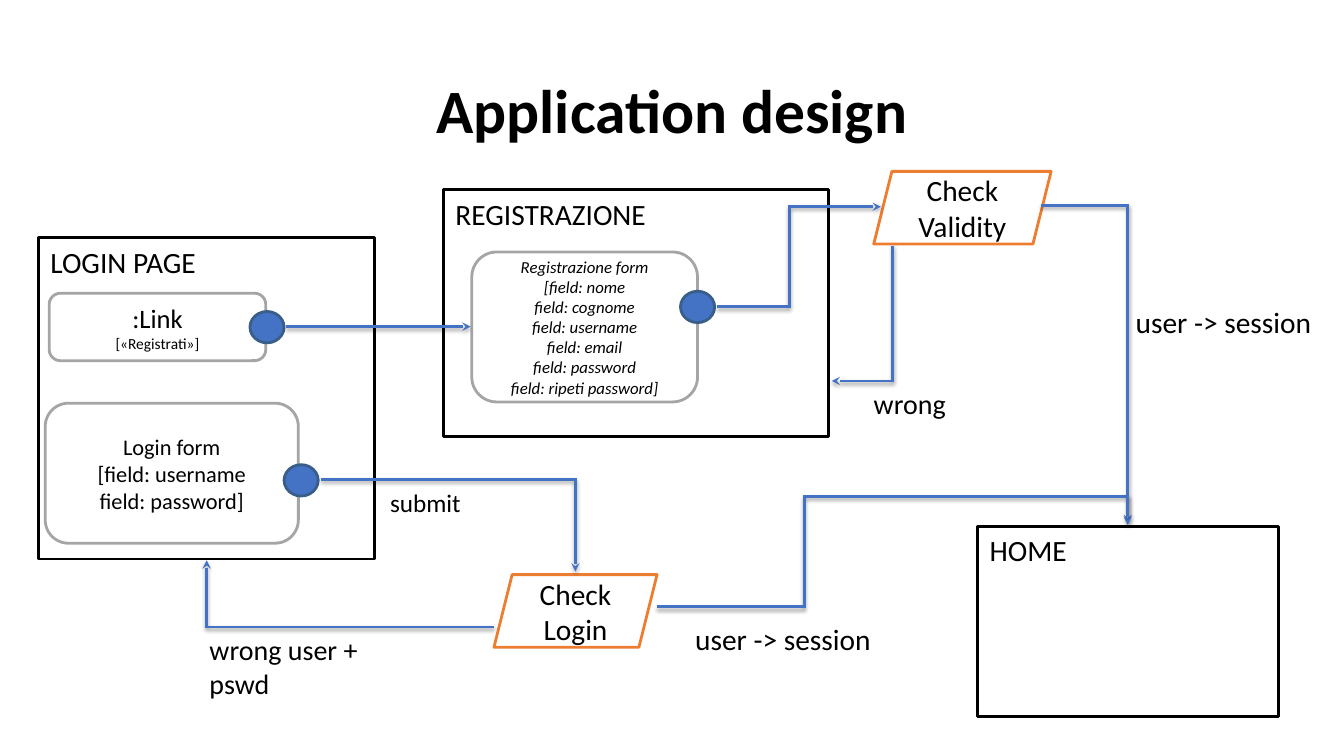
from lxml import etree
from pptx import Presentation
from pptx.dml.color import RGBColor
from pptx.enum.shapes import MSO_CONNECTOR, MSO_SHAPE
from pptx.enum.text import MSO_ANCHOR, PP_ALIGN
from pptx.util import Cm, Pt

RECT, ROUNDED = MSO_SHAPE.RECTANGLE, MSO_SHAPE.ROUNDED_RECTANGLE
SKEWED, OVAL = MSO_SHAPE.PARALLELOGRAM, MSO_SHAPE.OVAL
STRAIGHT = MSO_CONNECTOR.STRAIGHT
LEFT, CENTER = PP_ALIGN.LEFT, PP_ALIGN.CENTER
TOP, MIDDLE = MSO_ANCHOR.TOP, MSO_ANCHOR.MIDDLE
BLACK, WHITE, BLUE, NAVY = "000000", "FFFFFF", "4472C4", "395E89"
GRAY, ORANGE = "A5A5A5", "ED7D31"
NS = "http://schemas.openxmlformats.org/drawingml/2006/main"
LINE_ENDS = f'<a:x xmlns:a="{NS}"><a:miter lim="800000"/><a:tailEnd type="stealth"/></a:x>'
SHADOW = (f'<a:effectLst xmlns:a="{NS}"><a:outerShdw blurRad="38100" dist="20320" '
          'dir="5400000" rotWithShape="0"><a:srgbClr val="000000">'
          '<a:alpha val="38000"/></a:srgbClr></a:outerShdw></a:effectLst>')


def paint(shape, line, fill=None):
    """Colour the outline and, where given, the fill."""
    shape.line.color.rgb = RGBColor.from_string(line)
    shape.line.width = Pt(2)
    if fill:
        shape.shadow.inherit = False
        shape.fill.solid()
        shape.fill.fore_color.rgb = RGBColor.from_string(fill)


def write(shape, text, sizes, align=LEFT, anchor=TOP, inset=0.15, wrap=True,
          bold=False, italic=False, spacing=1.0):
    """Write one paragraph per line; the last size serves all further lines."""
    frame = shape.text_frame
    frame.word_wrap, frame.vertical_anchor = wrap, anchor
    frame.margin_left = frame.margin_right = Cm(inset)
    frame.margin_top = frame.margin_bottom = Cm(0.15)
    frame.text = text
    for i, paragraph in enumerate(frame.paragraphs):
        paragraph.alignment, paragraph.line_spacing = align, spacing
        font = paragraph.font if not paragraph.runs else paragraph.runs[0].font
        font.name, font.size = "Calibri", Pt(sizes[min(i, len(sizes) - 1)])
        font.bold, font.italic = bold, italic
        font.color.rgb = RGBColor.from_string(BLACK)


prs = Presentation()
prs.slide_width, prs.slide_height = Cm(33.87), Cm(19.05)
slide = prs.slides.add_slide(prs.slide_layouts[5])
shapes = slide.shapes

# Title
title = shapes.title
title.left, title.top, title.width, title.height = Cm(2.34), Cm(1.02), Cm(29.21), Cm(3.68)
write(title, "Application design", [44], CENTER, MIDDLE, bold=True, spacing=0.9)

# Pages
pages = [
    ("LOGIN PAGE", 0.97, 5.99, 8.46, 8.1),
    ("REGISTRAZIONE", 11.18, 4.78, 9.7, 6.22),
    ("HOME", 24.64, 13.26, 7.59, 4.8),
]
for name, *box in pages:
    page = shapes.add_shape(RECT, *map(Cm, box))
    paint(page, BLACK, WHITE)
    write(page, name, [21], inset=0.3)

# Forms and link inside the pages, and the checks between them
registration = "\n".join([
    "Registrazione form", "[field: nome", "field: cognome", "field: username",
    "field: email", "field: password", "field: ripeti password]"])
login = "Login form\n[field: username\nfield: password]"
components = [
    (ROUNDED, GRAY, ":Link\n[«Registrati»]", [19, 11], False, 1.24, 7.39, 5.46, 1.7),
    (ROUNDED, GRAY, login, [16], False, 1.14, 10.16, 6.38, 3.53),
    (ROUNDED, GRAY, registration, [12], True, 11.89, 6.35, 5.69, 3.78),
    (SKEWED, ORANGE, "Check\nLogin", [21], False, 12.45, 14.48, 4.11, 1.83),
    (SKEWED, ORANGE, "Check\nValidity", [21], False, 22.02, 4.32, 4.47, 1.83),
]
for kind, outline, text, sizes, italic, *box in components:
    component = shapes.add_shape(kind, *map(Cm, box))
    paint(component, outline, WHITE)
    write(component, text, sizes, CENTER, MIDDLE, wrap=False, italic=italic)

# Event dots
for x, y in [(6.3, 7.85), (7.16, 11.71), (17.15, 7.34)]:
    dot = shapes.add_shape(OVAL, Cm(x), Cm(y), Cm(0.86), Cm(0.79))
    paint(dot, NAVY, BLUE)

# Flow arrows
flows = [
    [(7.21, 8.23), (11.86, 8.23)],
    [(8.08, 12.09), (14.5, 12.09), (14.5, 14.4)],
    [(12.45, 15.8), (5.21, 15.8), (5.21, 14.12)],
    [(16.56, 15.29), (20.27, 15.29), (20.27, 12.52), (28.42, 12.52), (28.42, 13.18)],
    [(18.06, 7.72), (19.89, 7.72), (19.89, 5.21), (22.2, 5.21)],
    [(22.5, 6.2), (22.5, 9.6), (20.96, 9.6)],
    [(26.24, 5.18), (28.42, 5.18), (28.42, 13.23)],
]
for flow in flows:
    start, *bends = [(Cm(x), Cm(y)) for x, y in flow]
    if len(bends) == 1:
        arrow = shapes.add_connector(STRAIGHT, *start, *bends[0])
    else:
        outline = shapes.build_freeform(*start)
        outline.add_line_segments(bends, close=False)
        arrow = outline.convert_to_shape()
        arrow.fill.background()
    paint(arrow, BLUE)
    arrow.line._get_or_add_ln().extend(list(etree.fromstring(LINE_ENDS)))
    arrow._element.spPr.append(etree.fromstring(SHADOW))

# Flow labels
labels = [
    ("submit", 18, 9.68, 12.12, 2.21),
    ("wrong user + pswd", 20, 5.13, 15.8, 5.69),
    ("user -> session", 21, 17.37, 15.49, 5.16),
    ("user -> session", 21, 28.47, 7.52, 5.4),
    ("wrong", 20, 21.87, 9.6, 2.46),
]
for text, size, x, y, width in labels:
    label = shapes.add_textbox(Cm(x), Cm(y), Cm(width), Cm(1))
    write(label, text, [size])

prs.save("out.pptx")
